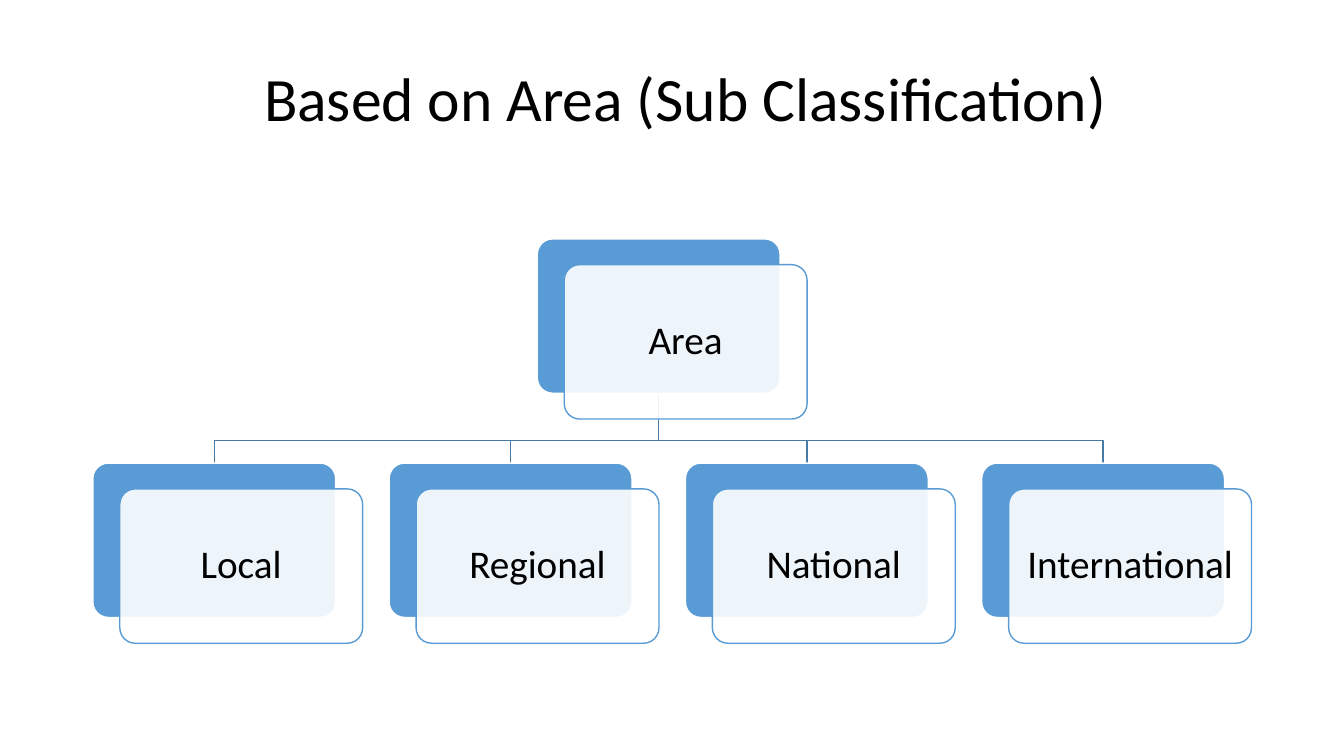
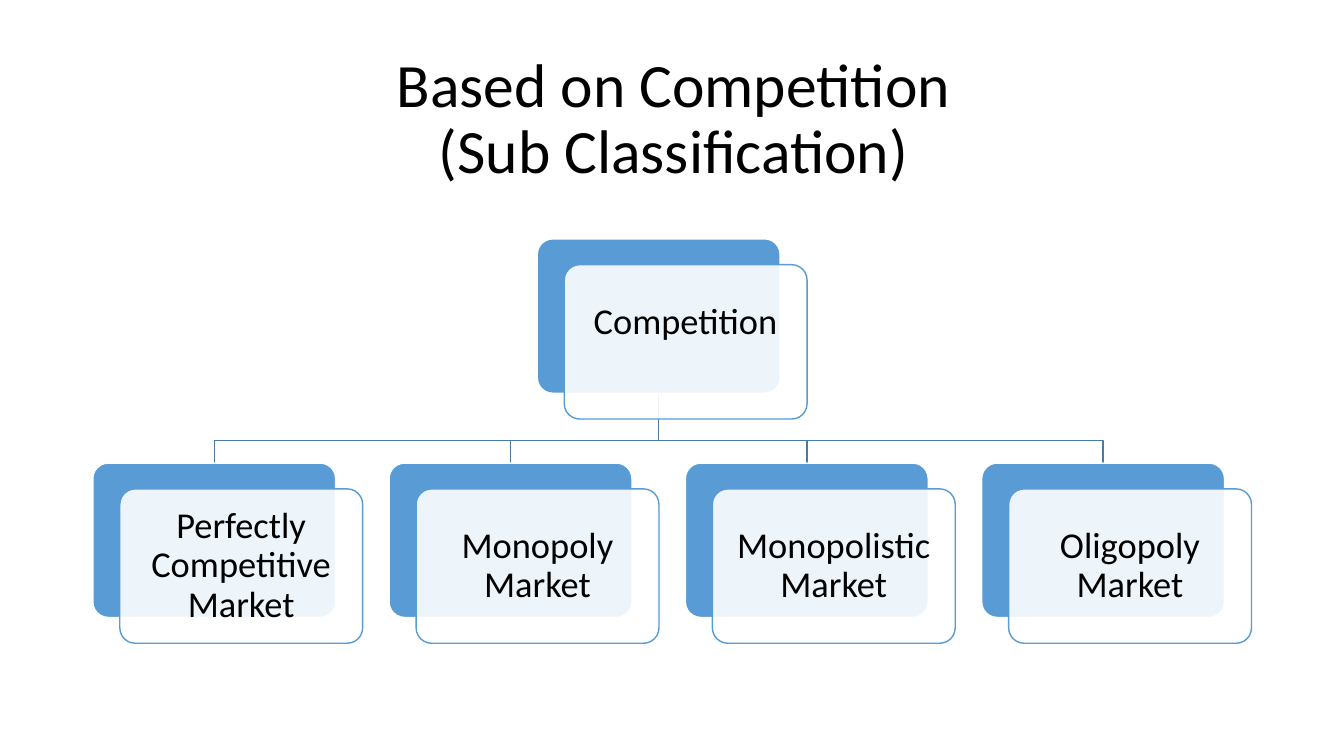
from lxml import etree
from pptx import Presentation
from pptx.dml.color import RGBColor
from pptx.enum.shapes import MSO_SHAPE
from pptx.enum.text import MSO_ANCHOR, MSO_AUTO_SIZE, PP_ALIGN
from pptx.oxml.ns import qn
from pptx.util import Cm, Pt

ROUNDED = MSO_SHAPE.ROUNDED_RECTANGLE
MIDDLE = MSO_ANCHOR.MIDDLE
CENTER = PP_ALIGN.CENTER
NO_AUTOFIT = MSO_AUTO_SIZE.NONE

COLORS = {"text": "000000", "blue": "599BD5", "link": "487AA8", "white": "FFFFFF"}
FONT = "Calibri"
TITLE_ONLY = 5

TITLE_W, TITLE_H = Cm(24.56), Cm(3.68)
CARD_W, CARD_H = Cm(6.12), Cm(3.89)
SHIFT_X, SHIFT_Y = Cm(0.68), Cm(0.65)
BEND = Cm(0.57)
INSET = Cm(0.2)
CHART_BOX = (Cm(2.34), Cm(6.02), Cm(29.2), Cm(10.19))

SLIDES = [
    {
        "title": ["Based on Area (Sub Classification)"],
        "title_at": (Cm(5), Cm(0.72)),
        "root": "Area",
        "children": ["Local", "Regional", "National", "International"],
        "size": 28,
        "root_lift": Cm(0),
    },
    {
        "title": ["Based on Competition", "(Sub Classification)"],
        "title_at": (Cm(4.7), Cm(1.2)),
        "root": "Competition",
        "children": [
            "Perfectly Competitive Market",
            "Monopoly Market",
            "Monopolistic Market",
            "Oligopoly Market",
        ],
        "size": 26,
        "root_lift": Cm(0.48),
    },
]


def rgb(name):
    return RGBColor.from_string(COLORS[name])


def add_text(tf, lines, size):
    tf.word_wrap = True
    tf.auto_size = NO_AUTOFIT
    tf.vertical_anchor = MIDDLE
    p = tf.paragraphs[0]
    p.alignment = CENTER
    p.line_spacing = 0.9
    for i, line in enumerate(lines):
        if i:
            p.add_line_break()
        r = p.add_run()
        r.text = line
        r.font.name = FONT
        r.font.size = Pt(size)
        r.font.color.rgb = rgb("text")


def add_title(s, lines, left, top):
    title = s.shapes.title
    title.left, title.top, title.width, title.height = left, top, TITLE_W, TITLE_H
    add_text(title.text_frame, lines, 44)


def add_panel(s, left, top, fill, line):
    sp = s.shapes.add_shape(ROUNDED, left, top, CARD_W, CARD_H)
    sp.adjustments[0] = 0.1
    sp.shadow.inherit = False
    sp.fill.solid()
    sp.fill.fore_color.rgb = rgb(fill)
    sp.line.color.rgb = rgb(line)
    sp.line.width = Pt(1)
    return sp


def add_card(s, left, top, label, size, lift=0):
    add_panel(s, left, top, "blue", "white")
    front = add_panel(s, left + SHIFT_X, top + SHIFT_Y, "white", "blue")
    color = front.fill._xPr.find(qn("a:solidFill")).find(qn("a:srgbClr"))
    etree.SubElement(color, qn("a:alpha"), val="90000")
    tf = front.text_frame
    tf.margin_left = tf.margin_right = tf.margin_top = INSET
    tf.margin_bottom = INSET + 2 * lift
    add_text(tf, [label], size)


def add_link(s, start_x, start_y, end_x, end_y):
    bend_y = end_y - BEND
    builder = s.shapes.build_freeform(start_x, start_y)
    builder.add_line_segments(
        [(start_x, bend_y), (end_x, bend_y), (end_x, end_y)], close=False
    )
    link = builder.convert_to_shape()
    link.shadow.inherit = False
    link.fill.background()
    link.line.color.rgb = rgb("link")
    link.line.width = Pt(1)


def add_hierarchy(s, box, root, children, size, root_lift):
    left, top, width, height = box
    span = width - CARD_W - SHIFT_X
    child_top = top + height - CARD_H - SHIFT_Y
    root_left = left + span // 2
    child_lefts = [left + span * i // (len(children) - 1) for i in range(len(children))]
    half = CARD_W // 2
    for child_left in reversed(child_lefts):
        add_link(s, root_left + half, top + CARD_H, child_left + half, child_top)
    add_card(s, root_left, top, root, size, root_lift)
    for child_left, label in zip(child_lefts, children):
        add_card(s, child_left, child_top, label, size)


def add_classification_slide(prs, data):
    s = prs.slides.add_slide(prs.slide_layouts[TITLE_ONLY])
    add_title(s, data["title"], *data["title_at"])
    add_hierarchy(
        s, CHART_BOX, data["root"], data["children"], data["size"], data["root_lift"]
    )


def main():
    prs = Presentation()
    prs.slide_width, prs.slide_height = Cm(33.87), Cm(19.05)
    for data in SLIDES:
        add_classification_slide(prs, data)
    prs.save("out.pptx")


if __name__ == "__main__":
    main()
